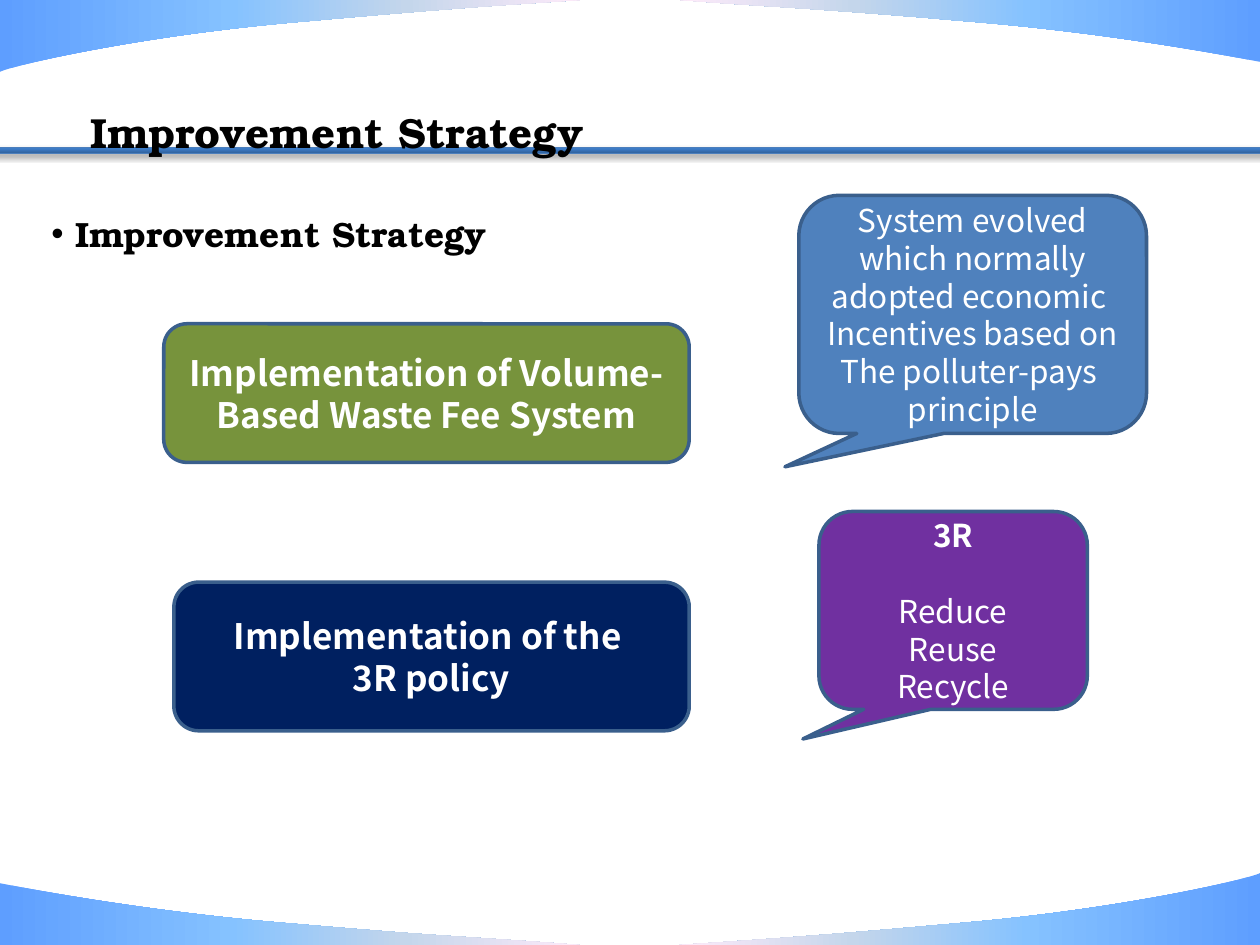
import pptx
import pptx.util
import pptx.dml.color
import pptx.enum.shapes
import pptx.enum.text
import pptx.oxml.ns
from lxml import etree

Inches = pptx.util.Inches
Pt = pptx.util.Pt
RGBColor = pptx.dml.color.RGBColor
MSO_SHAPE = pptx.enum.shapes.MSO_SHAPE
PP_ALIGN = pptx.enum.text.PP_ALIGN
MSO_ANCHOR = pptx.enum.text.MSO_ANCHOR
qn = pptx.oxml.ns.qn

SERIF = "TeX Gyre Bonum"
SANS = "Noto Sans CJK KR"
BLACK = RGBColor(0x00, 0x00, 0x00)
WHITE = RGBColor(0xFF, 0xFF, 0xFF)
GREEN = RGBColor(0x77, 0x93, 0x3C)
NAVY = RGBColor(0x00, 0x20, 0x60)
BLUE = RGBColor(0x4F, 0x81, 0xBD)
PURPLE = RGBColor(0x70, 0x30, 0xA0)
OUTLINE = RGBColor(0x3A, 0x5F, 0x8C)
BAR_LINE = RGBColor(0x4B, 0x7E, 0xBC)

# Gradient stops: position in percent, colour
SKY = [(0, RGBColor(0x5E, 0x9E, 0xFF)), (40, RGBColor(0x85, 0xC2, 0xFF)),
       (70, RGBColor(0xC4, 0xD6, 0xEB)), (100, RGBColor(0xFF, 0xEB, 0xFA))]
STEEL = [(0, RGBColor(0x2F, 0x5F, 0x99)), (80, RGBColor(0x3D, 0x7C, 0xC7)),
         (100, RGBColor(0x3A, 0x7C, 0xCB))]

# Corner curves: start and two Bezier segments, slide corner, gradient angle
CORNERS = [
    ([(5.4, 0), (6.16, 0.06), (6.42, 0.06), (7.68, 0.17),
      (8.94, 0.27), (9.98, 0.49), (10, 0.49)], (10, 0), 180),
    ([(4.6, 7.5), (3.84, 7.44), (3.58, 7.44), (2.32, 7.33),
      (1.06, 7.23), (0.01, 7.01), (0, 7.01)], (0, 7.5), 0),
    ([(5.39, 7.5), (6.14, 7.45), (6.46, 7.43), (7.69, 7.32),
      (8.92, 7.21), (9.9, 6.98), (10, 6.93)], (10, 7.5), 180),
    ([(4.61, 0), (3.86, 0.05), (3.54, 0.07), (2.31, 0.18),
      (1.08, 0.29), (0.1, 0.52), (0, 0.57)], (0, 0), 0),
]


def set_gradient(s, stops, angle):
    s.fill.gradient()
    grad = s._element.spPr.find(qn("a:gradFill"))
    gs_list = grad.find(qn("a:gsLst"))
    for gs in list(gs_list):
        gs_list.remove(gs)
    for pos, color in stops:
        gs = etree.SubElement(gs_list, qn("a:gs"), pos=str(pos * 1000))
        etree.SubElement(gs, qn("a:srgbClr"), val=str(color))
    grad.find(qn("a:lin")).set("ang", str(angle * 60000))


def bend_lines(s, segments):
    """Turn the first lines of an outline, three by three, into Bezier segments."""
    lines = list(s._element.iter(qn("a:lnTo")))
    for i in range(0, 3 * segments, 3):
        curve = etree.Element(qn("a:cubicBezTo"))
        lines[i].addprevious(curve)
        for line in lines[i:i + 3]:
            curve.append(line[0])
            line.getparent().remove(line)


def add_corner(slide, controls, corner, angle):
    points = [(Inches(x), Inches(y)) for x, y in controls + [corner]]
    builder = slide.shapes.build_freeform(*points[0])
    builder.add_line_segments(points[1:], close=True)
    s = builder.convert_to_shape()
    bend_lines(s, len(controls) // 3)
    s.shadow.inherit = False
    set_gradient(s, SKY, angle)
    s.line.fill.background()


def add_bar(slide):
    s = slide.shapes.add_shape(MSO_SHAPE.RECTANGLE, Inches(-0.23), Inches(1.17),
                               Inches(10.55), Inches(0.05))
    s.shadow.inherit = False
    set_gradient(s, STEEL, 270)
    s.line.color.rgb = BAR_LINE
    s.line.width = Pt(0.75)
    # Soft shadow straight below
    effects = s._element.spPr.find(qn("a:effectLst"))
    shadow = etree.SubElement(effects, qn("a:outerShdw"), blurRad=str(Pt(3.1)),
                              dist=str(Pt(1.8)), dir="5400000", rotWithShape="0")
    color = etree.SubElement(shadow, qn("a:srgbClr"), val=str(BLACK))
    etree.SubElement(color, qn("a:alpha"), val="35000")


def add_run(p, text, font, size, color, bold):
    r = p.add_run()
    r.text = text
    r.font.name = font
    r.font.size = Pt(size)
    r.font.color.rgb = color
    r.font.bold = bold
    # East Asian text uses the same typeface
    etree.SubElement(r.font._element, qn("a:ea"), typeface=font)


def add_heading(slide, box, text, size):
    s = slide.shapes.add_textbox(*map(Inches, box))
    tf = s.text_frame
    tf.word_wrap = True
    p = tf.paragraphs[0]
    add_run(p, text, SERIF, size, BLACK, True)
    return tf, p


def add_bullet(p, indent):
    pPr = p._p.get_or_add_pPr()
    pPr.set("marL", str(Inches(indent)))
    pPr.set("indent", str(-Inches(indent)))
    etree.SubElement(pPr, qn("a:buFont"), typeface="Arial")
    etree.SubElement(pPr, qn("a:buChar"), char="•")


def add_box(slide, kind, box, fill, paragraphs, size, adjustments=()):
    """Paragraphs are (lines, bold, space before) tuples."""
    s = slide.shapes.add_shape(kind, *map(Inches, box))
    s.shadow.inherit = False
    for i, value in enumerate(adjustments):
        s.adjustments[i] = value
    s.fill.solid()
    s.fill.fore_color.rgb = fill
    s.line.color.rgb = OUTLINE
    s.line.width = Pt(2)
    tf = s.text_frame
    tf.word_wrap = True
    tf.vertical_anchor = MSO_ANCHOR.MIDDLE
    for i, (lines, bold, before) in enumerate(paragraphs):
        p = tf.paragraphs[0] if i == 0 else tf.add_paragraph()
        p.alignment = PP_ALIGN.CENTER
        if before:
            p.space_before = Pt(before)
        for j, line in enumerate(lines):
            if j:
                p.add_line_break()
            add_run(p, line, SANS, size, WHITE, bold)


def main():
    prs = pptx.Presentation()
    prs.slide_width, prs.slide_height = Inches(10), Inches(7.5)
    slide = prs.slides.add_slide(prs.slide_layouts[6])

    # Background decoration
    for controls, corner, angle in CORNERS:
        add_corner(slide, controls, corner, angle)
    add_bar(slide)

    # Headings
    tf, p = add_heading(slide, (0.31, 1.64, 5.16, 0.44), "Improvement Strategy", 20)
    add_bullet(p, 0.19)
    tf, p = add_heading(slide, (0.7, 0.66, 6.88, 0.57), "Improvement Strategy", 24)
    tf.vertical_anchor = MSO_ANCHOR.MIDDLE
    tf.margin_left = tf.margin_right = tf.margin_top = tf.margin_bottom = Inches(0.02)
    p.line_spacing = 1.5

    # Strategies
    rounded = MSO_SHAPE.ROUNDED_RECTANGLE
    add_box(slide, rounded, (1.3, 2.57, 4.17, 1.1), GREEN,
            [(["Implementation of Volume-Based Waste Fee System"], True, 0)], 20)
    add_box(slide, rounded, (1.38, 4.62, 4.09, 1.18), NAVY,
            [(["Implementation of the ", "3R policy"], True, 0)], 20)

    # Explanations
    callout = MSO_SHAPE.ROUNDED_RECTANGULAR_CALLOUT
    add_box(slide, callout, (6.34, 1.55, 2.76, 1.89), BLUE,
            [(["System evolved which normally adopted economic "], False, 0),
             (["Incentives based on"], False, 0),
             (["The polluter-pays  principle"], False, 0)], 18, (-0.54, 0.64, 0.17))
    add_box(slide, callout, (6.5, 4.06, 2.13, 1.57), PURPLE,
            [(["3R"], True, 0), (["Reduce"], False, 22),
             (["Reuse"], False, 0), (["Recycle"], False, 0)], 18, (-0.56, 0.65, 0.17))

    prs.save("out.pptx")


if __name__ == "__main__":
    main()
